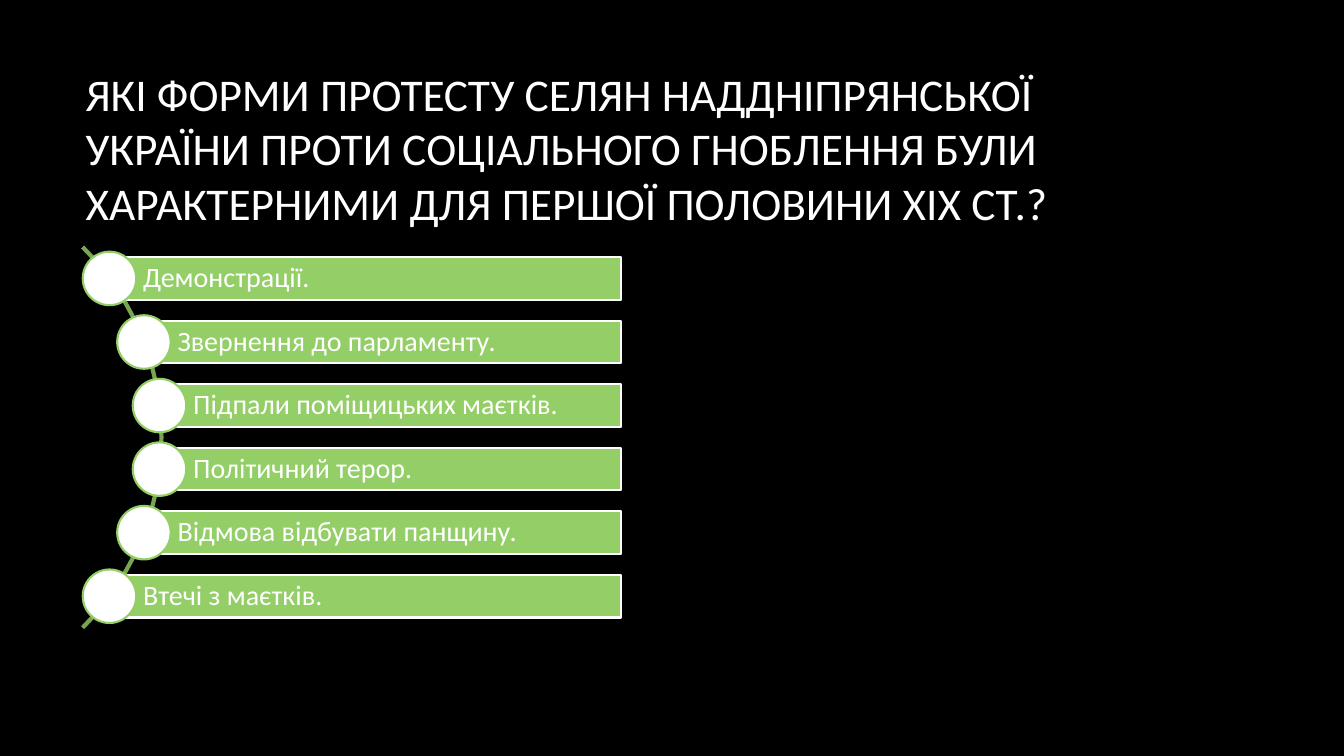
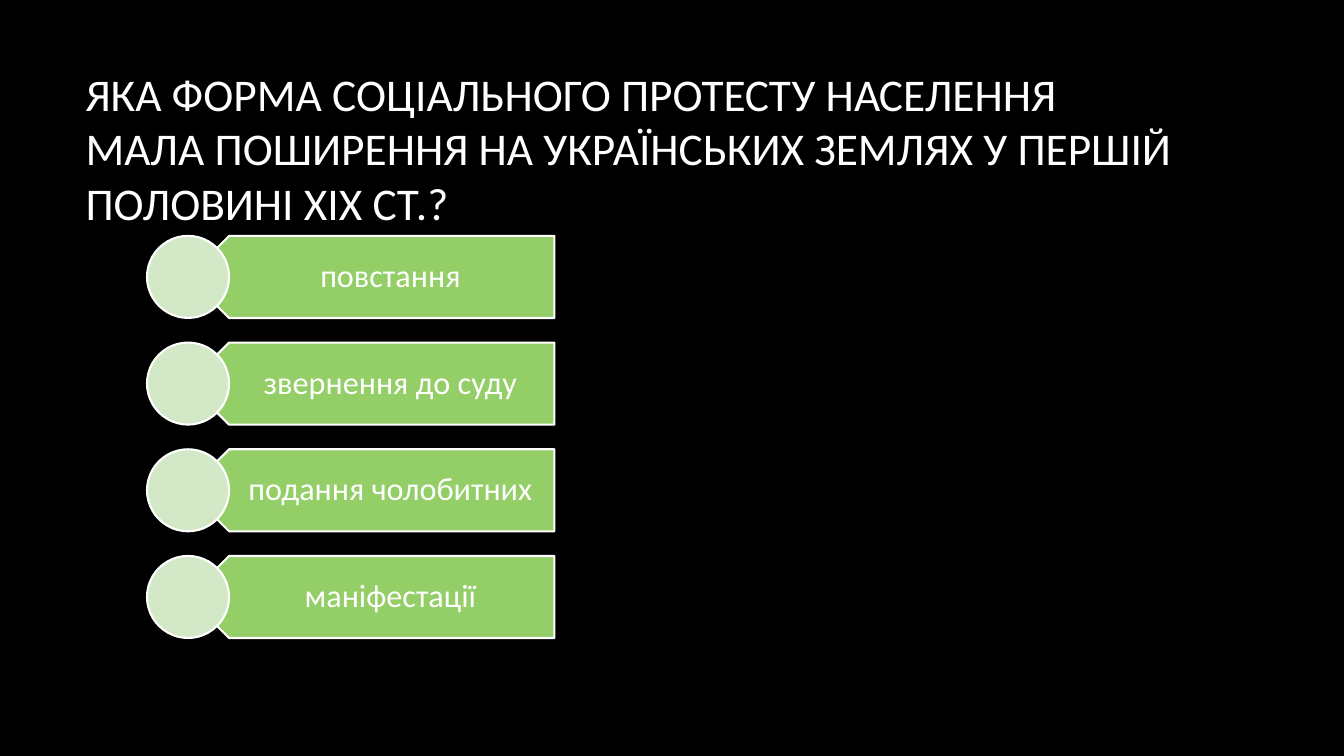
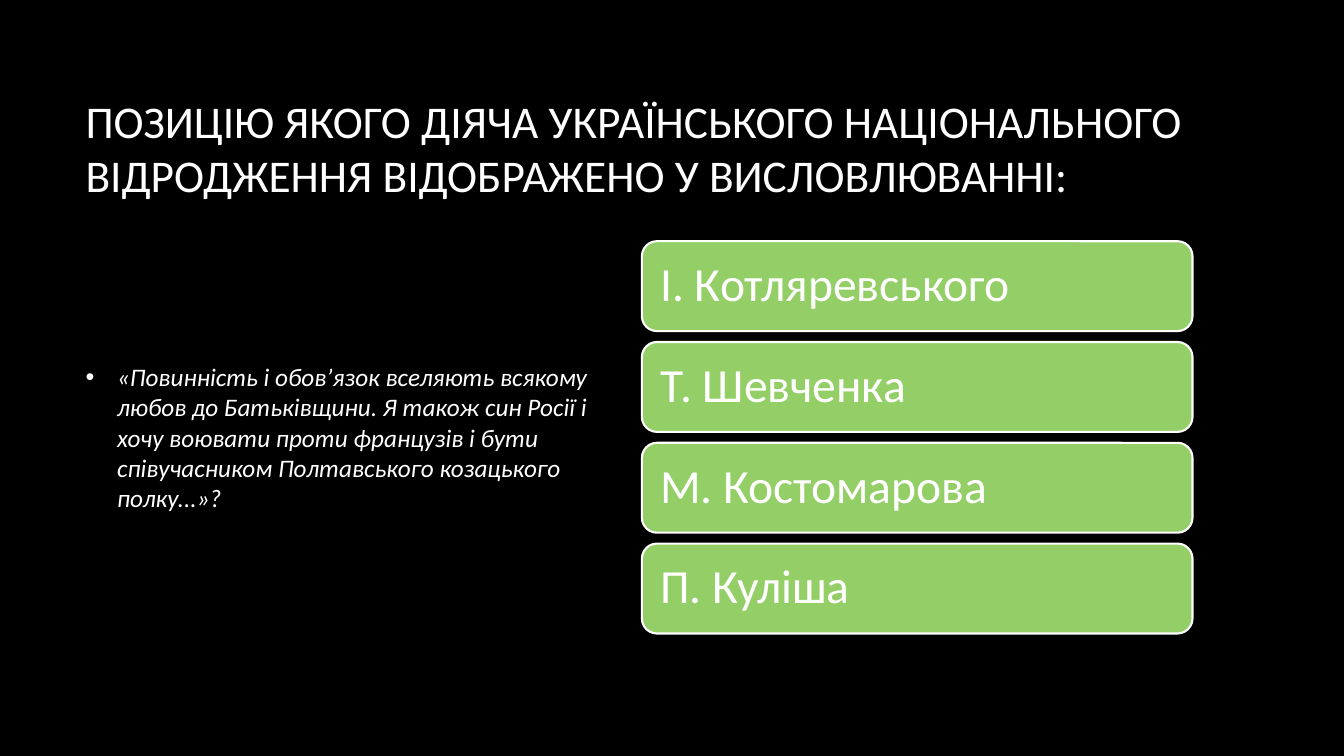
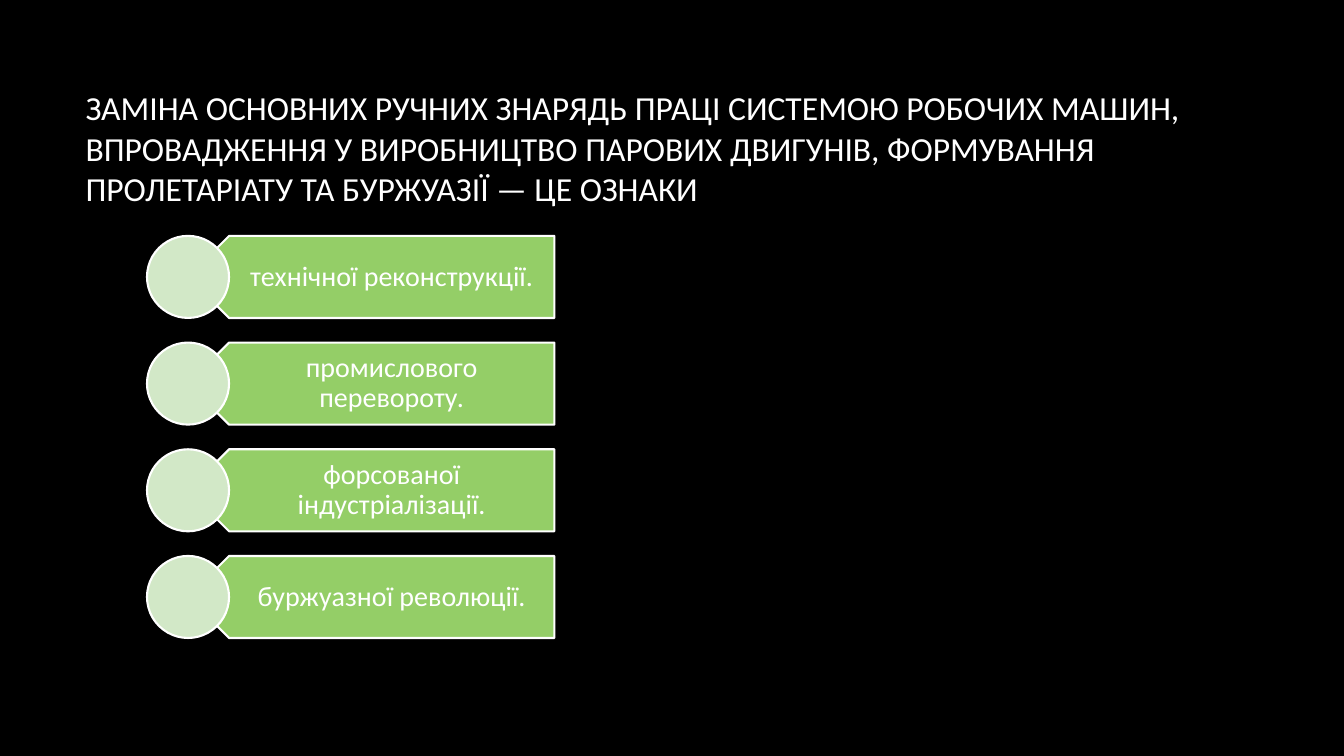
import math

import pptx
import pptx.dml.color
import pptx.enum.shapes
import pptx.enum.text
import pptx.util
from lxml import etree

Pt = pptx.util.Pt
RGBColor = pptx.dml.color.RGBColor
SHAPE = pptx.enum.shapes.MSO_SHAPE
ALIGN = pptx.enum.text.PP_ALIGN
ANCHOR = pptx.enum.text.MSO_ANCHOR

BLACK = RGBColor(0x00, 0x00, 0x00)
WHITE = RGBColor(0xFF, 0xFF, 0xFF)
GREEN = RGBColor(0x94, 0xCE, 0x67)
DARK_GREEN = RGBColor(0x77, 0xA5, 0x52)
PALE_GREEN = RGBColor(0xD2, 0xE8, 0xC7)
FONT = "Calibri"

PROTEST_TITLE = (
    "ЯКІ ФОРМИ ПРОТЕСТУ СЕЛЯН НАДДНІПРЯНСЬКОЇ УКРАЇНИ ПРОТИ СОЦІАЛЬНОГО "
    "ГНОБЛЕННЯ БУЛИ ХАРАКТЕРНИМИ ДЛЯ ПЕРШОЇ ПОЛОВИНИ XIX СТ.?"
)
PROTEST_FORMS = [
    "Демонстрації.",
    "Звернення до парламенту.",
    "Підпали поміщицьких маєтків.",
    "Політичний терор.",
    "Відмова відбувати панщину.",
    "Втечі з маєтків.",
]
SPREAD_TITLE = (
    "ЯКА ФОРМА СОЦІАЛЬНОГО ПРОТЕСТУ НАСЕЛЕННЯ МАЛА ПОШИРЕННЯ НА "
    "УКРАЇНСЬКИХ ЗЕМЛЯХ У ПЕРШІЙ ПОЛОВИНІ ХІХ СТ.?"
)
SPREAD_FORMS = ["повстання", "звернення до суду", "подання чолобитних", "маніфестації"]
QUOTE_TITLE = (
    "ПОЗИЦІЮ ЯКОГО ДІЯЧА УКРАЇНСЬКОГО НАЦІОНАЛЬНОГО ВІДРОДЖЕННЯ "
    "ВІДОБРАЖЕНО У ВИСЛОВЛЮВАННІ:"
)
QUOTE = (
    "«Повинність і обов’язок вселяють всякому любов до Батьківщини. "
    "Я також син Росії і хочу воювати проти французів і бути "
    "співучасником Полтавського козацького полку...»?"
)
FIGURES = ["І. Котляревського", "Т. Шевченка", "М. Костомарова", "П. Куліша"]
INDUSTRY_TITLE = (
    "ЗАМІНА ОСНОВНИХ РУЧНИХ ЗНАРЯДЬ ПРАЦІ СИСТЕМОЮ РОБОЧИХ МАШИН, "
    "ВПРОВАДЖЕННЯ У ВИРОБНИЦТВО ПАРОВИХ ДВИГУНІВ, ФОРМУВАННЯ "
    "ПРОЛЕТАРІАТУ ТА БУРЖУАЗІЇ — ЦЕ ОЗНАКИ"
)
INDUSTRY_SIGNS = [
    "технічної реконструкції.",
    "промислового перевороту.",
    "форсованої індустріалізації.",
    "буржуазної революції.",
]


def write(s, text, size, align=ALIGN.LEFT, insets=(7.2, 3.6, 7.2, 3.6),
          spacing=None, italic=False, bullet=None):
    tf = s.text_frame
    tf.word_wrap = True
    tf.vertical_anchor = ANCHOR.MIDDLE
    tf.margin_left, tf.margin_top, tf.margin_right, tf.margin_bottom = map(Pt, insets)
    p = tf.paragraphs[0]
    p.alignment = align
    if spacing:
        p.line_spacing = spacing
    if bullet:
        pPr = p._p.get_or_add_pPr()
        pPr.set("marL", str(Pt(22.5)))
        pPr.set("indent", str(Pt(-22.5)))
        font = etree.SubElement(pPr, pptx.oxml.ns.qn("a:buFont"))
        font.set("typeface", "Arial")
        char = etree.SubElement(pPr, pptx.oxml.ns.qn("a:buChar"))
        char.set("char", bullet)
        p.space_after = Pt(10)
    r = p.add_run()
    r.text = text
    r.font.name = FONT
    r.font.size = Pt(size)
    r.font.italic = italic
    r.font.color.rgb = WHITE


def add_text(slide, x, y, w, h, text, size, **kw):
    write(slide.shapes.add_textbox(Pt(x), Pt(y), Pt(w), Pt(h)), text, size, **kw)


def add_shape(slide, kind, x, y, w, h, fill, line):
    s = slide.shapes.add_shape(kind, Pt(x), Pt(y), Pt(w), Pt(h))
    s.shadow.inherit = False
    s.fill.solid()
    s.fill.fore_color.rgb = fill
    s.line.color.rgb = line
    s.line.width = Pt(1.5)
    return s


def add_slide(prs, title, size=32.4):
    slide = prs.slides.add_slide(prs.slide_layouts[6])
    add_text(slide, 54, 48.2, 797.8, 114.5, title, size)
    return slide


def add_arc_list(slide, items):
    cx, cy, radius = -77, 312.4, 192.3
    pitch, bar_h, dot, right = 45.4, 30.5, 38.2, 443.5
    angles = [math.radians(a) for a in range(-45, 46, 3)]
    points = [(Pt(cx + radius * math.cos(a)), Pt(cy + radius * math.sin(a))) for a in angles]
    builder = slide.shapes.build_freeform(*points[0])
    builder.add_line_segments(points[1:], close=False)
    arc = builder.convert_to_shape()
    arc.shadow.inherit = False
    arc.fill.background()
    arc.line.color.rgb = DARK_GREEN
    arc.line.width = Pt(3)
    for i, item in enumerate(items):
        dy = (i - (len(items) - 1) / 2) * pitch
        x, y = cx + math.sqrt(radius ** 2 - dy ** 2), cy + dy
        bar = add_shape(slide, SHAPE.RECTANGLE, x, y - bar_h / 2, right - x, bar_h, GREEN, WHITE)
        write(bar, item, 20, insets=(24, 4, 4, 4), spacing=0.9)
        add_shape(slide, SHAPE.OVAL, x - dot / 2, y - dot / 2, dot, dot, WHITE, GREEN)


def add_arrow_list(slide, items, size, pad):
    x, top, dot, pitch, arrow_w = 105, 168.5, 58.6, 76.2, 261.7
    for i, item in enumerate(items):
        y = top + i * pitch
        tail = x + dot / 2
        arrow = add_shape(slide, SHAPE.PENTAGON, tail, y, arrow_w, dot, GREEN, WHITE)
        arrow.rotation = 180
        add_text(slide, tail + dot / 4, y, arrow_w - dot / 4, dot, item, size,
                 align=ALIGN.CENTER, insets=(26, pad, 2 * pad, pad), spacing=0.9)
        add_shape(slide, SHAPE.OVAL, x, y, dot, dot, PALE_GREEN, WHITE)


def add_card_list(slide, items):
    for i, item in enumerate(items):
        card = add_shape(slide, SHAPE.ROUNDED_RECTANGLE, 458.5, 172.3 + i * 72, 393.3, 64.2,
                         GREEN, WHITE)
        write(card, item, 34, insets=(10, 10, 10, 10), spacing=0.9)


def main():
    prs = pptx.Presentation()
    prs.slide_width, prs.slide_height = Pt(960), Pt(540)
    background = prs.slide_master.background.fill
    background.solid()
    background.fore_color.rgb = BLACK

    add_arc_list(add_slide(prs, PROTEST_TITLE), PROTEST_FORMS)
    add_arrow_list(add_slide(prs, SPREAD_TITLE), SPREAD_FORMS, 23, 6.5)
    slide = add_slide(prs, QUOTE_TITLE)
    add_text(slide, 54, 168.5, 393.3, 287.3, QUOTE, 18, italic=True, bullet="•")
    add_card_list(slide, FIGURES)
    add_arrow_list(add_slide(prs, INDUSTRY_TITLE, size=24), INDUSTRY_SIGNS, 20, 5.7)
    prs.save("out.pptx")


if __name__ == "__main__":
    main()
